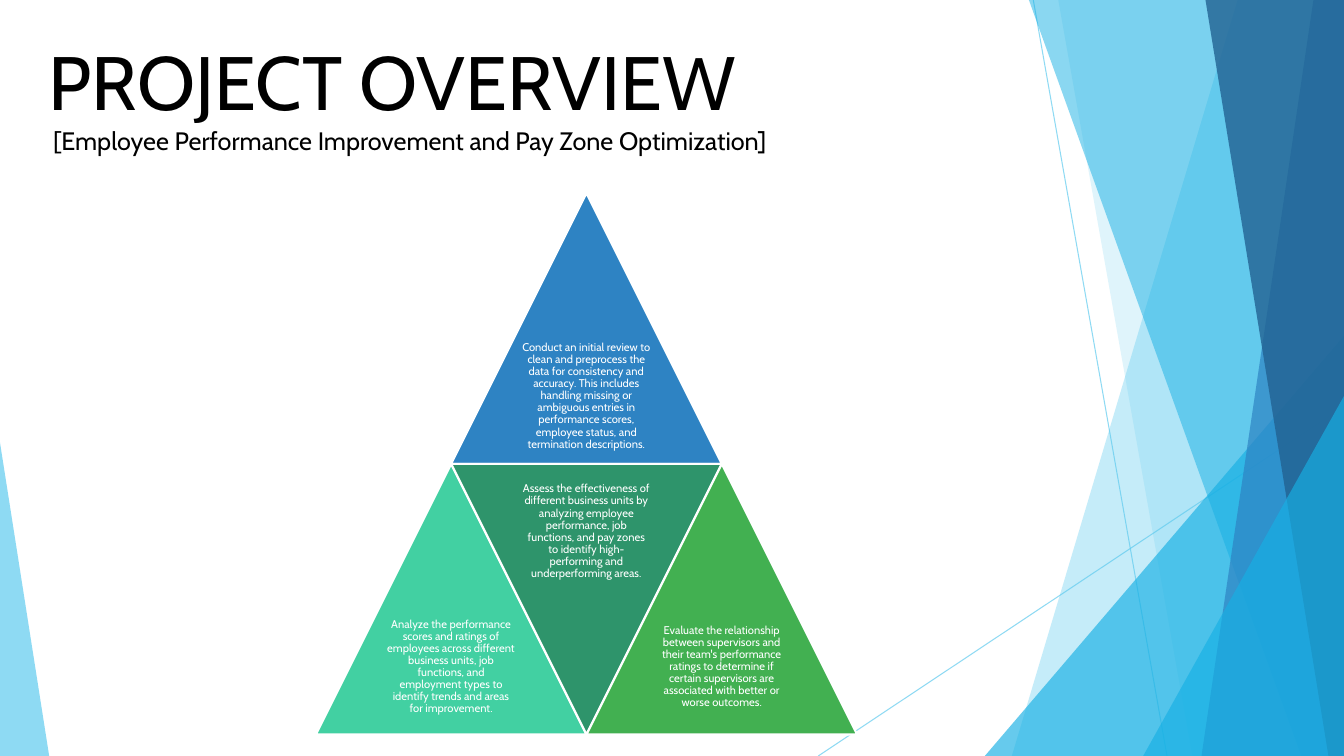
import pptx
import pptx.util
import pptx.dml.color
import pptx.enum.shapes
import pptx.enum.text
import pptx.oxml
import pptx.oxml.ns

Cm = pptx.util.Cm
Pt = pptx.util.Pt
Kind = pptx.enum.shapes.MSO_SHAPE
Align = pptx.enum.text.PP_ALIGN
Anchor = pptx.enum.text.MSO_ANCHOR
qn = pptx.oxml.ns.qn


class Theme:
    font = "Cabin"
    black, white = "000000", "FFFFFF"
    sky, cyan, blue, navy = "5FCBEF", "17B0E4", "2E83C3", "226292"
    mint, pine, green = "42D0A2", "2E946B", "42B051"
    title, sub, note = 54, 18, 8


def paint(shape, fill, color, alpha=100):
    """Give a fill one colour, with alpha as percent opacity."""
    fill.solid()
    fill.fore_color.rgb = pptx.dml.color.RGBColor.from_string(color)
    if alpha < 100:
        tint = next(shape.element.iter(qn("a:srgbClr")))
        pptx.oxml.ns  # namespace table used by qn
        tint.append(tint.makeelement(qn("a:alpha"), {"val": str(alpha * 1000)}))


def write(shape, text, size, color, box, align=Align.LEFT,
          anchor=Anchor.TOP, inset=(0.25, 0.13), lead=1.0, after=0):
    shape.left, shape.top, shape.width, shape.height = map(Cm, box)
    frame = shape.text_frame
    frame.word_wrap = True
    frame.auto_size = pptx.enum.text.MSO_AUTO_SIZE.NONE
    frame.vertical_anchor = anchor
    frame.margin_left = frame.margin_right = Cm(inset[0])
    frame.margin_top = frame.margin_bottom = Cm(inset[1])
    par = frame.paragraphs[0]
    par.alignment, par.line_spacing = align, lead
    par.space_before, par.space_after = Pt(0), Pt(after)
    run = par.add_run()
    run.text = text
    run.font.name, run.font.size = Theme.font, Pt(size)
    run.font.color.rgb = pptx.dml.color.RGBColor.from_string(color)


wide, high = 33.87, 19.05
deck = pptx.Presentation()
deck.slide_width, deck.slide_height = Cm(wide), Cm(high)
slide = deck.slides.add_slide(deck.slide_layouts[0])
shapes = slide.shapes

# Thin crossing lines
for x1, y1, x2 in [(26.04, 0, 29.41), (wide, 10.24, 20.62)]:
    line = shapes.add_connector(pptx.enum.shapes.MSO_CONNECTOR.STRAIGHT,
                                Cm(x1), Cm(y1), Cm(x2), Cm(high))
    line.line.width = Pt(0.75)
    paint(line, line.line.fill, Theme.sky, 70)
    props = line.element.find(qn("p:spPr"))
    props.append(props.makeelement(qn("a:effectLst"), {}))

# Facets: a band runs from its top x and bottom x to the right edge;
# a wedge is a right triangle on the bottom edge (left, top, width, apex)
facets = [
    ("band", (31.19, 25.5), Theme.sky, 36),
    ("band", (26.67, 30.05), Theme.sky, 20),
    ("wedge", (24.82, 8.46, 9.05, 1), Theme.cyan, 66),
    ("band", (25.93, 32.79), Theme.cyan, 50),
    ("band", (33.1, 30.28), Theme.blue, 70),
    ("band", (30.38, 33.48), Theme.navy, 80),
    ("wedge", (28.81, 9.98, 5.06, 1), Theme.cyan, 66),
    ("wedge", (0, 11.15, 1.24, 0), Theme.sky, 70),
]
for kind, place, color, alpha in facets:
    if kind == "band":
        top, base = place
        path = shapes.build_freeform(Cm(top), Cm(0))
        path.add_line_segments([(Cm(wide), Cm(0)), (Cm(wide), Cm(high)),
                                (Cm(base), Cm(high))], close=True)
        facet = path.convert_to_shape()
    else:
        left, top, width, apex = place
        facet = shapes.add_shape(Kind.ISOSCELES_TRIANGLE, Cm(left), Cm(top),
                                 Cm(width), Cm(high - top))
        facet.adjustments[0] = apex
    facet.shadow.inherit = False
    paint(facet, facet.fill, color, alpha)
    facet.line.fill.background()

write(shapes.title, "PROJECT OVERVIEW", Theme.title, Theme.black,
      (0.97, 0.76, 19.84, 2.57))
write(slide.placeholders[1],
      "[Employee Performance Improvement and Pay Zone Optimization]",
      Theme.sub, Theme.black, (1.09, 3.02, 20.09, 1.02))

# Pyramid: columns are half a side apart, rows a full side
side, left, top = 6.82, 7.96, 4.87
tiles = [
    (1, 0, False, Theme.blue,
     "Conduct an initial review to clean and preprocess the data for "
     "consistency and accuracy. This includes handling missing or ambiguous "
     "entries in performance scores, employee status, and termination "
     "descriptions."),
    (0, 1, False, Theme.mint,
     "Analyze the performance scores and ratings of employees across "
     "different business units, job functions, and employment types to "
     "identify trends and areas for improvement."),
    (1, 1, True, Theme.pine,
     "Assess the effectiveness of different business units by analyzing "
     "employee performance, job functions, and pay zones to identify "
     "high-performing and underperforming areas."),
    (2, 1, False, Theme.green,
     "Evaluate the relationship between supervisors and their team's "
     "performance ratings to determine if certain supervisors are associated "
     "with better or worse outcomes."),
]
for col, row, flip, color, text in tiles:
    x, y = left + col * side / 2, top + row * side
    tile = shapes.add_shape(Kind.ISOSCELES_TRIANGLE, Cm(x), Cm(y),
                            Cm(side), Cm(side))
    tile.rotation = 180 if flip else 0
    tile.shadow.inherit = False
    paint(tile, tile.fill, color)
    paint(tile, tile.line.fill, Theme.white)
    tile.line.width = Pt(1.5)
    box = (x + side / 4, y if flip else y + side / 2, side / 2, side / 2)
    write(shapes.add_textbox(0, 0, 0, 0), text, Theme.note, Theme.white, box,
          align=Align.CENTER, anchor=Anchor.MIDDLE, inset=(0.08, 0.08),
          lead=0.9, after=2.8)

deck.save("out.pptx")
